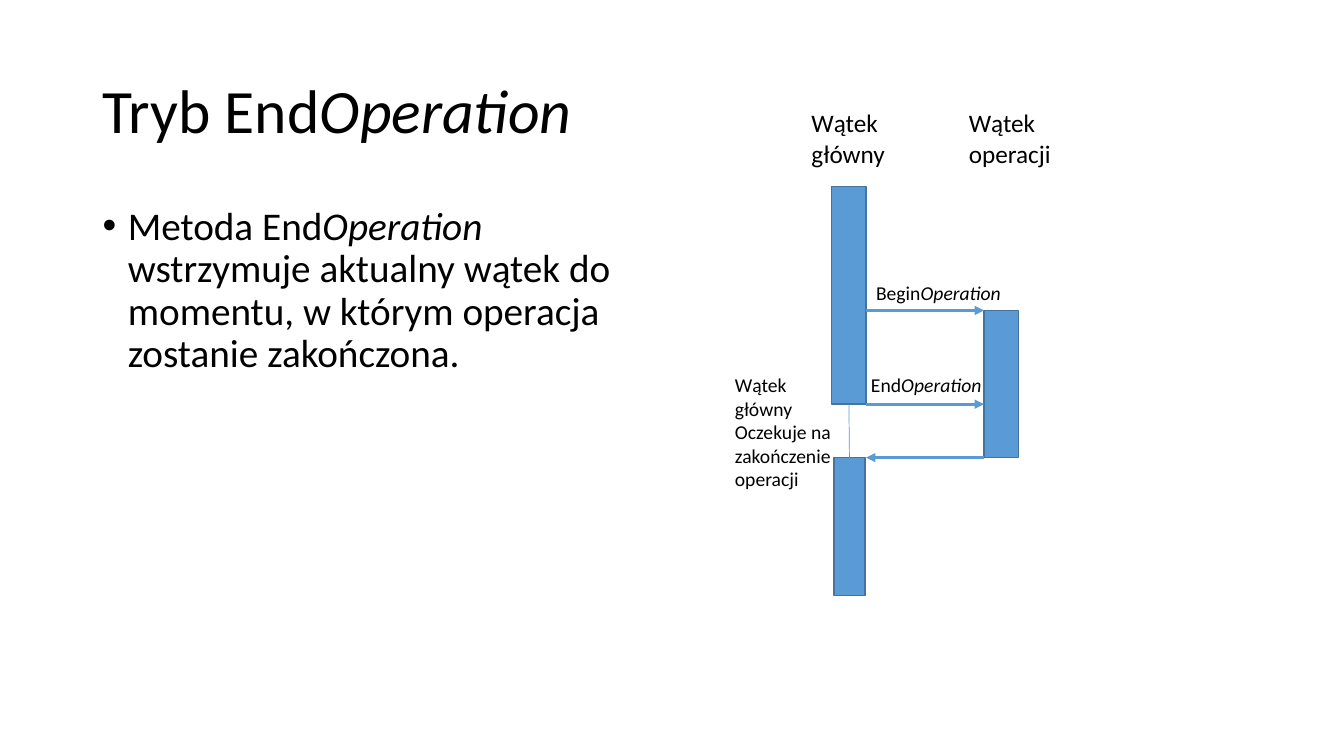
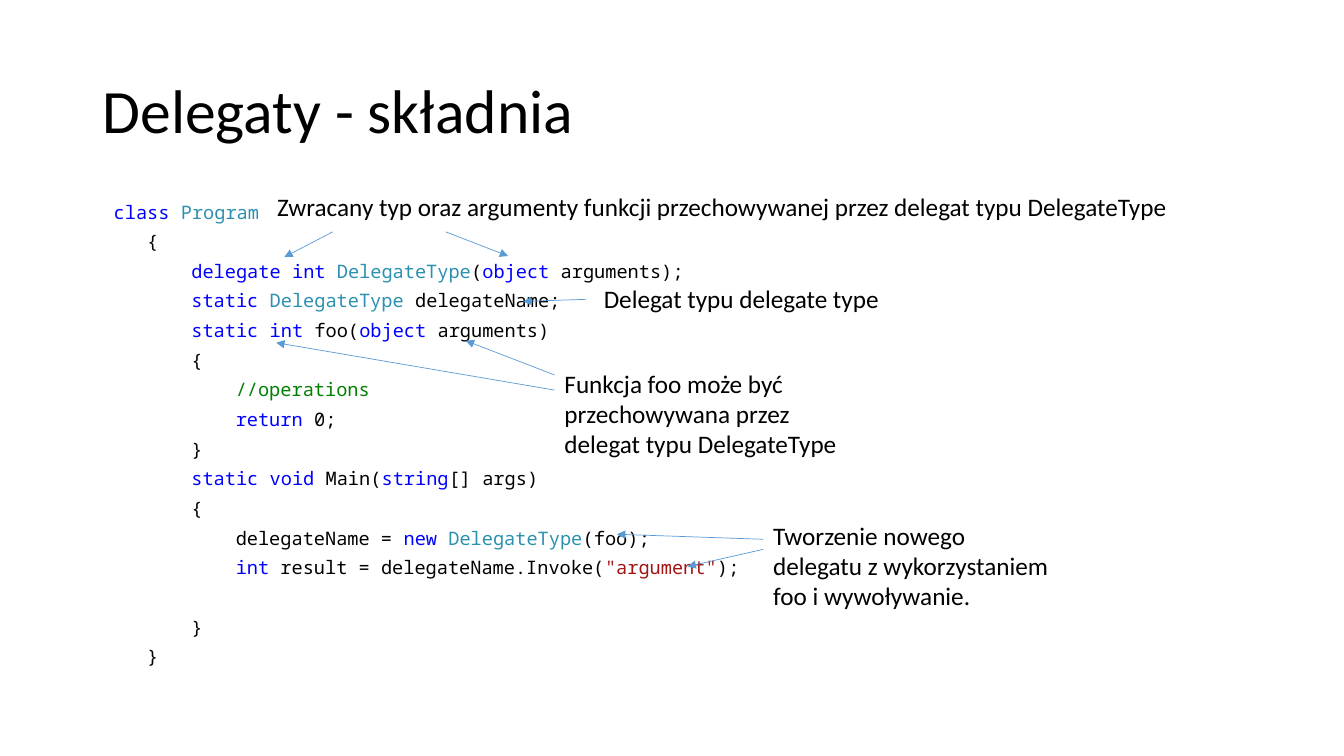
from lxml import etree
from pptx import Presentation
from pptx.dml.color import RGBColor
from pptx.enum.shapes import MSO_CONNECTOR, MSO_SHAPE
from pptx.enum.text import MSO_ANCHOR
from pptx.oxml.ns import qn
from pptx.util import Inches, Pt

STRAIGHT = MSO_CONNECTOR.STRAIGHT
RECTANGLE = MSO_SHAPE.RECTANGLE
TOP, MIDDLE = MSO_ANCHOR.TOP, MSO_ANCHOR.MIDDLE

BLACK, BLUE, DARK_BLUE = "000000", "5B9BD5", "43739E"
BODY_FONT, CODE_FONT = "Calibri", "Noto Sans Mono"
TITLE_BOX = (0.92, 0.4, 11.5, 1.45)
TITLE_STYLE = dict(size=44, spacing=0.9, anchor=MIDDLE)

# Words that carry their own style wherever they stand as a separate run
ITALIC_WORD = "Operation"
KEYWORDS = ["class", "delegate", "int", "object", "static", "return",
            "void", "string", "new"]
WORD_COLORS = dict.fromkeys(KEYWORDS, "0000FF")
WORD_COLORS.update(dict.fromkeys(["Program", "DelegateType"], "2B91AF"))
WORD_COLORS.update({"//operations": "008000", '"argument"': "A31515"})


def rgb(color):
    return RGBColor.from_string(color)


def write(slide, box, paragraphs, size=18, font=BODY_FONT, spacing=None,
          before=0, anchor=TOP, wrap=True, bullet=False, indents=None):
    """Write paragraphs whose runs are separated by '|'."""
    frame = slide.shapes.add_textbox(*map(Inches, box)).text_frame
    frame.word_wrap = wrap
    frame.vertical_anchor = anchor
    for i, text in enumerate(paragraphs):
        paragraph = frame.add_paragraph() if i else frame.paragraphs[0]
        paragraph.line_spacing = spacing
        paragraph.space_before = Pt(before)
        properties = paragraph._p.get_or_add_pPr()
        if indents:
            properties.set("marL", str(Inches(indents[i])))
        if bullet:
            properties.set("marL", str(Inches(0.25)))
            properties.set("indent", str(Inches(-0.25)))
            etree.SubElement(properties, qn("a:buFont"), typeface="Arial")
            etree.SubElement(properties, qn("a:buChar"), char="•")
        for word in text.split("|"):
            run = paragraph.add_run()
            run.text = word
            run.font.name = font
            run.font.size = Pt(size)
            run.font.italic = word == ITALIC_WORD
            run.font.color.rgb = rgb(WORD_COLORS.get(word, BLACK))
    return frame


prs = Presentation()
prs.slide_width, prs.slide_height = Inches(13.33), Inches(7.5)
operation_slide, syntax_slide = [
    prs.slides.add_slide(prs.slide_layouts[6]) for _ in range(2)]

# Slide 1: title and statement
write(operation_slide, TITLE_BOX, ["Tryb End|Operation"], **TITLE_STYLE)
write(operation_slide, (0.92, 2, 5.47, 4.76),
      ["Metoda End|Operation| wstrzymuje aktualny wątek do momentu, "
       "w którym operacja zostanie zakończona."],
      size=28, spacing=0.9, before=10, bullet=True)

# Slide 1: activity bars of both threads
call_y, wait_y, resume_y = 3.08, 4.01, 4.54
main_right, operation_left = 8.59, 9.76
bars = []
for left, top, width, bottom in [(8.25, 1.85, 0.34, wait_y),
                                 (operation_left, call_y, 0.34, resume_y),
                                 (8.27, resume_y, 0.31, 5.91)]:
    bar = operation_slide.shapes.add_shape(
        RECTANGLE, *map(Inches, (left, top, width, bottom - top)))
    bar.shadow.inherit = False
    bar.fill.solid()
    bar.fill.fore_color.rgb = rgb(BLUE)
    bar.line.color.rgb = rgb(DARK_BLUE)
    bar.line.width = Pt(1)
    bars.append(bar)
main_bar, operation_bar, resumed_bar = bars

# Slide 1: labels
write(operation_slide, (8.59, 2.74, 1.45, 0.34), ["Begin|Operation"],
      size=14, wrap=False)
write(operation_slide, (8.54, 3.65, 1.31, 0.34), ["End|Operation"],
      size=14, wrap=False)
write(operation_slide, (7.19, 3.65, 1.21, 1.28),
      ["Wątek główny", "Oczekuje na zakończenie", "operacji"], size=14)
write(operation_slide, (7.95, 1.02, 0.94, 0.71), ["Wątek", "główny"], wrap=False)
write(operation_slide, (9.51, 1.02, 1.08, 0.71), ["Wątek operacji"])

# Slide 2: title
write(syntax_slide, TITLE_BOX, ["Delegaty - składnia"], **TITLE_STYLE)

# Slide 2: code, each line with its indent in characters
CHARACTER_WIDTH = 0.11
code = [
    (1, "class| |Program"),
    (4, "{"),
    (8, "delegate| |int| |DelegateType|(|object| arguments);"),
    (8, "static| |DelegateType| delegateName;"),
    (8, "static| |int| foo(|object| arguments)"),
    (8, "{"),
    (12, "//operations"),
    (12, "return| 0;"),
    (8, "}"),
    (8, "static| |void| Main(|string|[] args)"),
    (8, "{"),
    (12, "delegateName = |new| |DelegateType|(foo);"),
    (12, 'int| result = delegateName.Invoke(|"argument"|);'),
    (8, "}"),
    (4, "}"),
]
listing = write(syntax_slide, (0.92, 2, 11.5, 4.76), [line for _, line in code],
                size=13.3, font=CODE_FONT, spacing=0.7, before=10,
                indents=[depth * CHARACTER_WIDTH for depth, _ in code])
listing.paragraphs[-2].space_before = Pt(31.2)  # gap of one line after the call

# Slide 2: remarks
write(syntax_slide, (2.65, 1.85, 9.13, 0.4),
      ["Zwracany typ oraz argumenty funkcji przechowywanej przez delegat "
       "typu DelegateType"], wrap=False)
for box, remark in [
    ((5.89, 2.76, 3.93, 0.4), "Delegat typu delegate type"),
    ((5.5, 3.6, 2.99, 1.01),
     "Funkcja foo może być przechowywana przez delegat typu DelegateType"),
    ((7.57, 5.11, 2.99, 1.01),
     "Tworzenie nowego delegatu z wykorzystaniem foo i wywoływanie."),
]:
    write(syntax_slide, box, [remark])

# Lines and arrows of both slides: start, end, width, arrowhead
wait_line = (operation_slide, (8.42, wait_y), (8.42, resume_y), 0.5, False)
calls = [
    (operation_slide, (main_right, call_y), (operation_left, call_y), 2.25, True),
    (operation_slide, (main_right, wait_y), (operation_left, wait_y), 2.25, True),
    (operation_slide, (operation_left, resume_y), (main_right, resume_y), 2.25, True),
]
pointers = [(syntax_slide, start, end, 0.5, True) for start, end in [
    ((3.3, 2.3), (2.82, 2.55)),
    ((4.42, 2.3), (5.04, 2.54)),
    ((5.81, 2.97), (5.19, 2.99)),
    ((5.5, 3.87), (2.74, 3.4)),
    ((5.5, 3.72), (4.62, 3.38)),
    ((7.57, 5.35), (6.12, 5.3)),
    ((7.57, 5.45), (6.82, 5.62)),
]]
for slide, start, end, width, arrowhead in [wait_line, *calls, *pointers]:
    line = slide.shapes.add_connector(STRAIGHT, *map(Inches, start + end))
    line.line.color.rgb = rgb(BLUE)
    line.line.width = Pt(width)
    properties = line.element.spPr
    if arrowhead:
        etree.SubElement(properties.find(qn("a:ln")), qn("a:tailEnd"), type="triangle")
    else:
        line.begin_connect(main_bar, 2)
        line.end_connect(resumed_bar, 0)
    etree.SubElement(properties, qn("a:effectLst"))

prs.save("out.pptx")
